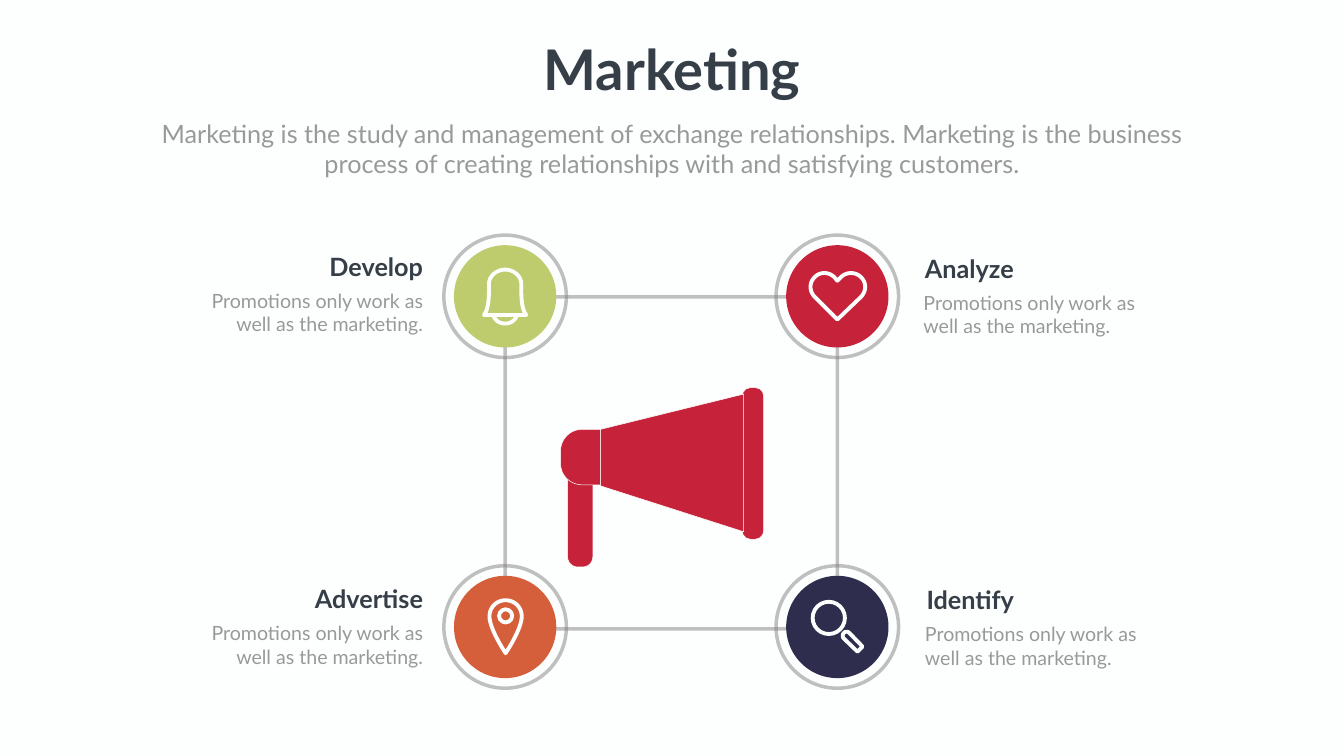
import pptx
import pptx.dml.color
import pptx.enum.shapes
import pptx.enum.text
import pptx.oxml
import pptx.oxml.ns
import pptx.util

SCALE = 9144
WHITE, RED, GREY, DARK, PALE = "FDFFFE", "C62239", "808080", "363E48", "999999"
BLURB = "Promotions only work as well as the marketing."
KIND = pptx.enum.shapes.MSO_SHAPE
ALIGN = pptx.enum.text.PP_ALIGN


def px(*sizes):
    """Turn px lengths into a list of EMU."""
    return [pptx.util.Emu(round(size * SCALE)) for size in sizes]


def color(part, code):
    """Give a fill or font colour part a hex colour."""
    part.rgb = pptx.dml.color.RGBColor.from_string(code)


def paint(shape, fill=None, line=None, width=0.75, alpha=None):
    """Set the fill, outline and outline opacity of a shape."""
    shape.shadow.inherit = False
    if fill:
        shape.fill.solid()
        color(shape.fill.fore_color, fill)
    else:
        shape.fill.background()
    if not line:
        shape.line.fill.background()
        return
    color(shape.line.color, line)
    shape.line.width = pptx.util.Pt(width)
    if alpha:
        tone = shape.element.xpath(".//a:ln//a:srgbClr")[0]
        tone.append(pptx.oxml.parse_xml(
            f'<a:alpha {pptx.oxml.ns.nsdecls("a")} val="{alpha * 1000}"/>'))


def block(slide, kind, box, bend_by=None, **look):
    """Add a painted preset shape."""
    shape = slide.shapes.add_shape(kind, *px(*box))
    if bend_by is not None:
        shape.adjustments[0] = bend_by
    paint(shape, **look)


def disc(slide, x, y, size, **look):
    """Add a circle around a centre."""
    block(slide, KIND.OVAL, (x - size / 2, y - size / 2, size, size), **look)


def bend(start, curve, steps=16):
    """List the points along a cubic curve."""
    ends = [start, curve[:2], curve[2:4], curve[4:]]
    points = []
    for step in range(1, steps + 1):
        t = step / steps
        parts = ((1 - t) ** 3, 3 * t * (1 - t) ** 2, 3 * t * t * (1 - t), t ** 3)
        points.append(tuple(sum(w * end[i] for w, end in zip(parts, ends)) for i in (0, 1)))
    return points


def trace(slide, start, *legs, close=True, **look):
    """Add an outline whose legs are lines (2 numbers) or curves (6 numbers)."""
    points = [start]
    for leg in legs:
        points += [leg] if len(leg) == 2 else bend(points[-1], leg)
    pen = slide.shapes.build_freeform(*px(*start), scale=1.0)
    pen.add_line_segments([px(*point) for point in points[1:]], close=close)
    paint(pen.convert_to_shape(), **look)


def write(shape, words, box, size=28, tone=PALE, bold=False, align=ALIGN.LEFT):
    """Place a text shape and fill it with formatted words."""
    shape.left, shape.top, shape.width, shape.height = px(*box)
    frame = shape.text_frame
    frame.word_wrap = True
    frame.auto_size = pptx.enum.text.MSO_AUTO_SIZE.NONE
    frame.vertical_anchor = pptx.enum.text.MSO_ANCHOR.TOP
    frame.text = words
    line = frame.paragraphs[0]
    line.alignment = align
    line.space_before = pptx.util.Pt(0)
    font = line.runs[0].font
    font.name, font.size, font.bold = "Lato", pptx.util.Pt(size), bold
    color(font.color, tone)


def label(slide, words, box, **style):
    """Add a text box."""
    write(slide.shapes.add_textbox(0, 0, 0, 0), words, box, **style)


def horn(slide):
    """Draw the megaphone."""
    look = dict(fill=RED, line=WHITE)
    block(slide, KIND.ROUNDED_RECTANGLE, (1126, 918, 50, 207), bend_by=0.4, **look)
    block(slide, KIND.ROUNDED_RECTANGLE, (1472, 769, 43, 301), bend_by=0.4, **look)
    trace(slide, (1191, 964), (1475, 1055), (1475, 782), (1191, 852), **look)
    trace(slide, (1155, 962), (1191, 962), (1191, 852), (1155, 852),
          (1131, 852, 1112, 871, 1112, 895), (1112, 920),
          (1112, 943, 1131, 962, 1155, 962), **look)


def bell(slide, **look):
    """Draw the bell icon."""
    trace(slide, (960, 625), (971, 612, 970, 580, 970, 563),
          (970, 548, 985, 535, 1002, 535), (1019, 535, 1034, 548, 1034, 563),
          (1034, 580, 1033, 612, 1044, 625), **look)
    trace(slide, (979, 627), (987, 647, 1017, 647, 1025, 627), close=False, **look)


def heart(slide, **look):
    """Draw the heart icon."""
    trace(slide, (1661, 634), (1616, 589), (1605, 577, 1605, 561, 1616, 550),
          (1626, 539, 1644, 539, 1655, 550), (1661, 557), (1668, 550),
          (1679, 539, 1697, 539, 1708, 550), (1719, 561, 1719, 577, 1708, 589), **look)


def pin(slide, **look):
    """Draw the map pin icon."""
    trace(slide, (1003, 1296), (997, 1287, 971, 1246, 971, 1223),
          (971, 1205, 985, 1191, 1003, 1191), (1021, 1191, 1035, 1205, 1035, 1223),
          (1035, 1246, 1009, 1287, 1003, 1296), **look)
    disc(slide, 1003, 1222, 26, **look)


def lens(slide, **look):
    """Draw the magnifier icon."""
    disc(slide, 1644, 1226, 64, **look)
    trace(slide, (1701, 1293), (1674, 1267), (1667, 1260, 1677, 1248, 1685, 1256),
          (1711, 1283), **look)


def main():
    """Build the slide."""
    deck = pptx.Presentation()
    deck.slide_width, deck.slide_height = px(2666, 1500)
    slide = deck.slides.add_slide(deck.slide_layouts[0])
    slide.background.fill.solid()
    color(slide.background.fill.fore_color, WHITE)

    write(slide.shapes.title, "Marketing", (1062, 63, 543, 145), size=80, tone=DARK,
          bold=True, align=ALIGN.CENTER)
    write(slide.placeholders[1],
          "Marketing is the study and management of exchange relationships. "
          "Marketing is the business process of creating relationships with and "
          "satisfying customers.", (268, 229, 2130, 131), size=36, align=ALIGN.CENTER)

    horn(slide)
    ring = dict(line=GREY, width=5, alpha=50)
    block(slide, KIND.RECTANGLE, (1002, 589, 659, 659), **ring)
    nodes = [
        ("Develop", 1002, 588, "BECC6D", bell, 351, 493),
        ("Analyze", 1661, 588, RED, heart, 1822, 497),
        ("Advertise", 1002, 1244, "D65F3B", pin, 351, 1153),
        ("Identify", 1661, 1244, "2F2D4D", lens, 1825, 1155),
    ]
    for name, x, y, fill, icon, left, top in nodes:
        disc(slide, x, y, 203, fill=fill)
        disc(slide, x, y, 243, **ring)
        icon(slide, line=WHITE, width=5.5)
        west = left < x
        side = ALIGN.RIGHT if west else ALIGN.LEFT
        head = left + 237 if west else left + 3
        label(slide, name, (head, top, 261, 71), size=36, tone=DARK, bold=True, align=side)
        label(slide, BLURB, (left, top + 75, 498, 104), align=side)

    deck.save("out.pptx")


if __name__ == "__main__":
    main()
